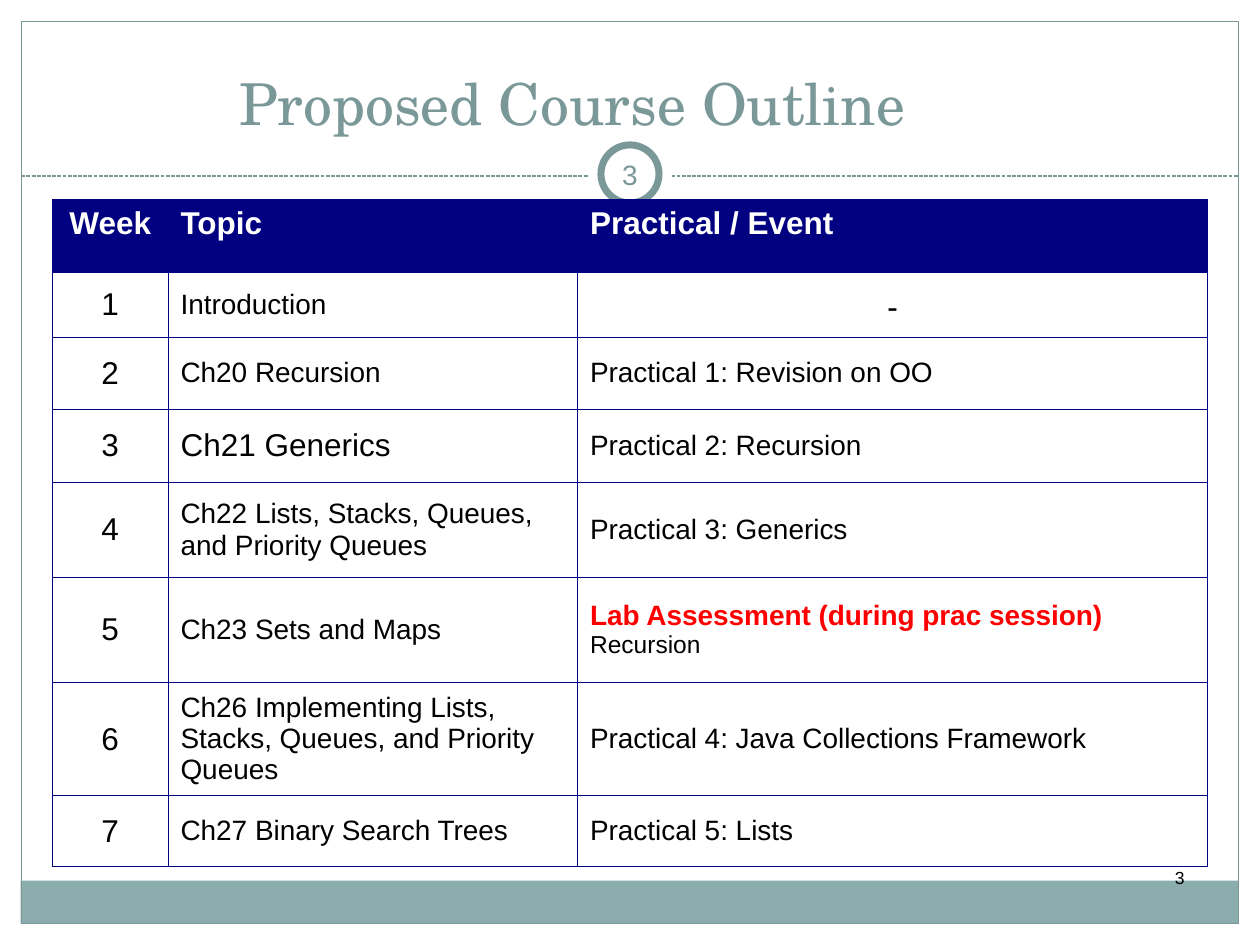
from dataclasses import dataclass
from typing import Optional

from lxml.etree import SubElement
from pptx import Presentation
from pptx.dml.color import RGBColor
from pptx.enum.dml import MSO_LINE
from pptx.enum.shapes import MSO_CONNECTOR, MSO_SHAPE
from pptx.enum.text import MSO_ANCHOR, PP_ALIGN
from pptx.oxml import parse_xml
from pptx.oxml.ns import nsdecls, qn
from pptx.util import Pt

COLORS = {
    "white": "FFFFFF",
    "black": "000000",
    "teal": "7B9899",
    "footer": "8CADAE",
    "navy": "000080",
    "red": "FF0000",
}
SANS, SERIF = "Arial", "TeX Gyre Schola"


@dataclass(frozen=True)
class Box:
    left: float
    top: float
    width: float
    height: float

    def lengths(self) -> tuple:
        return Pt(self.left), Pt(self.top), Pt(self.width), Pt(self.height)


@dataclass(frozen=True)
class Line:
    text: str
    size: float = 16
    color: str = "black"
    bold: bool = False
    font: str = SANS


@dataclass(frozen=True)
class Week:
    number: int
    height: float
    topic: Line
    event: tuple[Line, ...]


WEEKS = [
    Week(1, 37.4, Line("Introduction"), (Line("-", 18, font=SERIF),)),
    Week(2, 41, Line("Ch20 Recursion"), (Line("Practical 1: Revision on OO"),)),
    Week(3, 41.8, Line("Ch21 Generics", 18), (Line("Practical 2: Recursion"),)),
    Week(4, 54.4, Line("Ch22 Lists, Stacks, Queues, and Priority Queues"),
         (Line("Practical 3: Generics"),)),
    Week(5, 60, Line("Ch23 Sets and Maps"),
         (Line("Lab Assessment (during prac session)", color="red", bold=True),
          Line("Recursion", 14))),
    Week(6, 64.6, Line("Ch26 Implementing Lists, Stacks, Queues, and Priority Queues"),
         (Line("Practical 4: Java Collections Framework"),)),
    Week(7, 40.4, Line("Ch27 Binary Search Trees"), (Line("Practical 5: Lists"),)),
]
HEADINGS = ("Week", "Topic", "Practical / Event")
HEADING_HEIGHT = 41.4
COLUMN_WIDTHS = (66, 234, 360)


def rgb(name: str) -> RGBColor:
    return RGBColor.from_string(COLORS[name])


def write(frame, lines: tuple[Line, ...], align: PP_ALIGN) -> None:
    for index, line in enumerate(lines):
        paragraph = frame.add_paragraph() if index else frame.paragraphs[0]
        paragraph.alignment = align
        run = paragraph.add_run()
        run.text = line.text
        run.font.name = line.font
        run.font.size = Pt(line.size)
        run.font.bold = line.bold
        run.font.color.rgb = rgb(line.color)


def add_panel(slide, kind: MSO_SHAPE, box: Box, fill: Optional[str] = None,
              outline: Optional[str] = None, weight: float = 0.75) -> None:
    panel = slide.shapes.add_shape(kind, *box.lengths())
    panel.shadow.inherit = False
    if fill:
        panel.fill.solid()
        panel.fill.fore_color.rgb = rgb(fill)
    else:
        panel.fill.background()
    if outline:
        panel.line.color.rgb = rgb(outline)
        panel.line.width = Pt(weight)
    else:
        panel.line.fill.background()


def add_text(slide, box: Box, line: Line, align: PP_ALIGN, anchor: MSO_ANCHOR,
             inset: float = 7.2) -> None:
    frame = slide.shapes.add_textbox(*box.lengths()).text_frame
    frame.word_wrap = True
    frame.vertical_anchor = anchor
    frame.margin_left = frame.margin_right = Pt(inset)
    frame.margin_top = frame.margin_bottom = Pt(3.6)
    write(frame, (line,), align)


def add_divider(slide, left: float, right: float, top: float) -> None:
    divider = slide.shapes.add_connector(
        MSO_CONNECTOR.STRAIGHT, Pt(left), Pt(top), Pt(right), Pt(top))
    divider.line.color.rgb = rgb("teal")
    divider.line.width = Pt(0.75)
    divider.line.dash_style = MSO_LINE.SQUARE_DOT
    SubElement(divider._element.spPr, qn("a:effectLst"))


def fill_cell(cell, lines: tuple[Line, ...], align: PP_ALIGN, anchor: MSO_ANCHOR,
              fill: Optional[str] = None) -> None:
    write(cell.text_frame, lines, align)
    cell.vertical_anchor = anchor
    if fill:
        cell.fill.solid()
        cell.fill.fore_color.rgb = rgb(fill)
    else:
        cell.fill.background()
    properties = cell._tc.get_or_add_tcPr()
    for position, side in enumerate(("lnL", "lnR", "lnT", "lnB")):
        properties.insert(position, parse_xml(
            f'<a:{side} {nsdecls("a")} w="{Pt(0.45)}"><a:solidFill>'
            f'<a:srgbClr val="{COLORS["navy"]}"/></a:solidFill></a:{side}>'))


def add_outline_table(slide, left: float, top: float) -> None:
    heights = [HEADING_HEIGHT] + [week.height for week in WEEKS]
    box = Box(left, top, sum(COLUMN_WIDTHS), sum(heights))
    table = slide.shapes.add_table(
        len(heights), len(COLUMN_WIDTHS), *box.lengths()).table
    table.first_row = table.horz_banding = False
    for column, width in zip(table.columns, COLUMN_WIDTHS):
        column.width = Pt(width)
    for row, height in zip(table.rows, heights):
        row.height = Pt(height)

    for column, heading in enumerate(HEADINGS):
        fill_cell(table.cell(0, column), (Line(heading, 18, "white", True),),
                  PP_ALIGN.LEFT if column else PP_ALIGN.CENTER, MSO_ANCHOR.TOP, "navy")
    for row, week in enumerate(WEEKS, start=1):
        no_event = week.event[0].text == "-"
        entries = (
            ((Line(str(week.number), 18),), PP_ALIGN.CENTER),
            ((week.topic,), PP_ALIGN.LEFT),
            (week.event, PP_ALIGN.CENTER if no_event else PP_ALIGN.LEFT),
        )
        for column, (lines, align) in enumerate(entries):
            fill_cell(table.cell(row, column), lines, align, MSO_ANCHOR.MIDDLE)


def main() -> None:
    deck = Presentation()
    deck.slide_width, deck.slide_height = Pt(720), Pt(540)
    slide = deck.slides.add_slide(deck.slide_layouts[6])

    add_panel(slide, MSO_SHAPE.RECTANGLE, Box(11.8, 503.2, 695.8, 24.4), fill="footer")
    add_panel(slide, MSO_SHAPE.RECTANGLE, Box(12.2, 12.2, 695.6, 515.6), outline="teal")
    add_divider(slide, 12.2, 707.8, 100.6)
    add_panel(slide, MSO_SHAPE.OVAL, Box(336, 75.6, 48, 48), fill="white")
    add_panel(slide, MSO_SHAPE.OVAL, Box(343.4, 82.8, 33.2, 33.2), "white", "teal", 4)

    add_text(slide, Box(30, 24, 594, 57.6),
             Line("Proposed Course Outline", 33, "teal", font=SERIF),
             PP_ALIGN.CENTER, MSO_ANCHOR.BOTTOM)
    add_text(slide, Box(342, 82.2, 36, 34.6), Line("3", 16, "teal"),
             PP_ALIGN.CENTER, MSO_ANCHOR.MIDDLE, inset=3.6)
    add_text(slide, Box(516, 492, 168, 36), Line("3", 10),
             PP_ALIGN.RIGHT, MSO_ANCHOR.TOP)
    add_outline_table(slide, 30, 114)

    deck.save("out.pptx")


if __name__ == "__main__":
    main()
